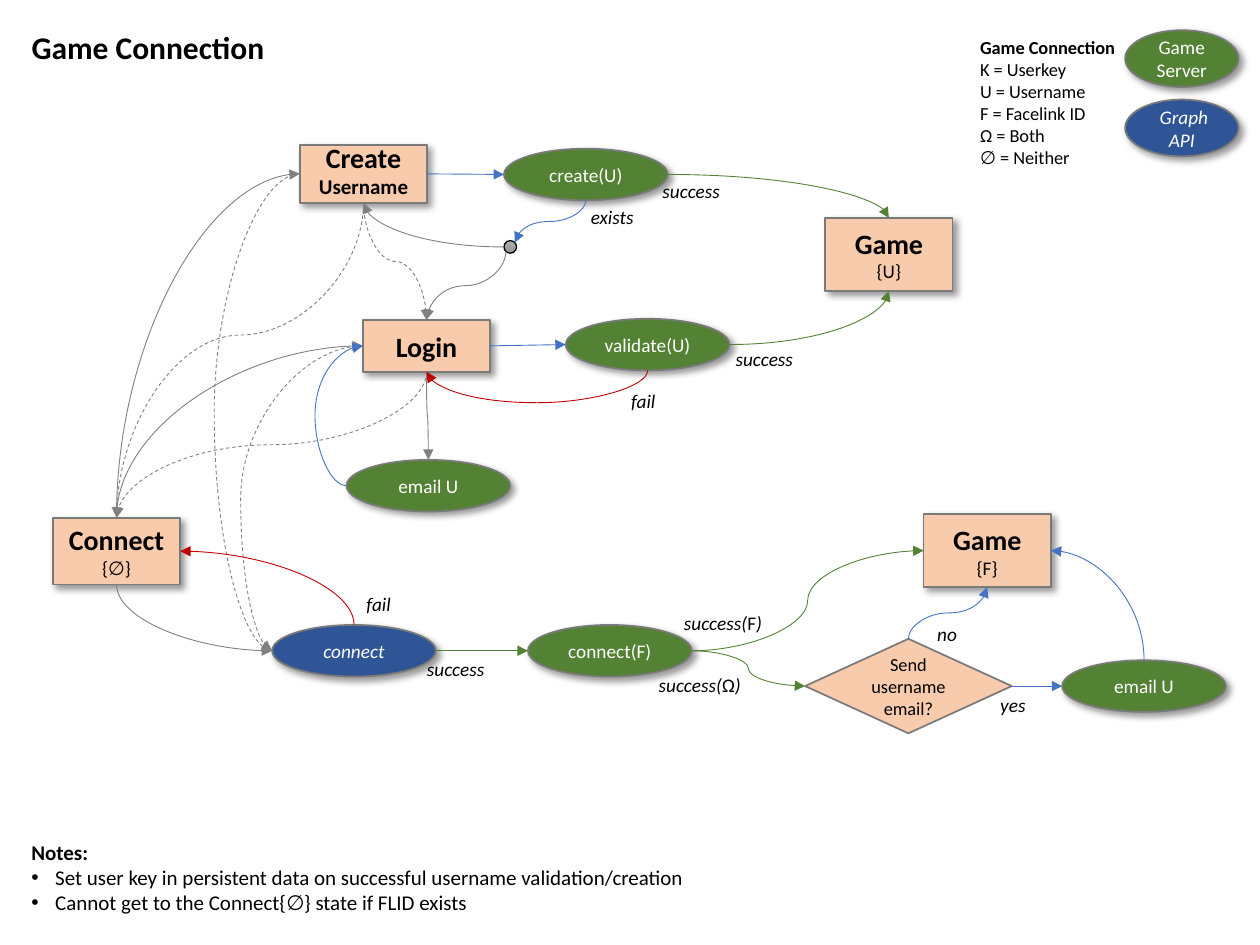
from lxml.etree import SubElement
from pptx import Presentation
from pptx.dml.color import RGBColor
from pptx.enum.dml import MSO_LINE
from pptx.enum.shapes import MSO_CONNECTOR, MSO_SHAPE
from pptx.enum.text import MSO_ANCHOR, MSO_AUTO_SIZE, PP_ALIGN
from pptx.oxml.ns import qn
from pptx.util import Inches, Pt

WIDTH, HEIGHT = Inches(10), Inches(7.5)
COLUMN, ROW = WIDTH / 1000, HEIGHT / 750
FONT = "Calibri"
COLORS = {
    "state": "F8CBAD", "server": "548235", "graph": "2F5597", "outline": "7A7A7A",
    "black": "000000", "white": "FFFFFF", "gray": "808080", "red": "C00000",
    "blue": "4472C4", "dot_light": "AFAFAF", "dot_dark": "939393",
}
ANCHORS = {
    "top": (0.5, 0, 0, 0), "left": (0, 0.5, 1, 2),
    "bottom": (0.5, 1, 2, 4), "right": (1, 0.5, 3, 6),
    "lower left": (0.15, 0.85, None, 3), "upper right": (0.85, 0.15, None, 7),
}
CALL_SIZE = (130, 41)


def color(name):
    return RGBColor.from_string(COLORS[name])


def place(region, left, top, width, height):
    return (round((region[0] + left) * COLUMN), round((region[1] + top) * ROW),
            round(width * COLUMN), round(height * ROW))


def write(frame, lines, tint="black", alignment=PP_ALIGN.LEFT, italic=False, spacing=None):
    for index, (text, size, bold) in enumerate(lines):
        paragraph = frame.paragraphs[0] if index == 0 else frame.add_paragraph()
        paragraph.text = text
        paragraph.alignment = alignment
        paragraph.line_spacing = spacing
        font = paragraph.font
        font.name, font.size, font.bold, font.italic = FONT, Pt(size), bold, italic
        font.color.rgb = color(tint)


def add_text(slide, box, lines, italic=False):
    frame = slide.shapes.add_textbox(*box).text_frame
    frame.word_wrap = False
    write(frame, lines, italic=italic)
    return frame


def add_label(slide, region, left, top, width, text, upright=None):
    frame = add_text(slide, place(region, left, top, width, 29), [(text, 11, False)], True)
    if upright:
        paragraph = frame.paragraphs[0]
        for part in (upright, ")"):
            run = paragraph.add_run()
            run.text = part
            run.font.italic = part != upright


def add_node(slide, kind, box, fill, lines, tint="black", italic=False, spacing=None, shadow=True):
    shape = slide.shapes.add_shape(kind, *box)
    shape.fill.solid()
    shape.fill.fore_color.rgb = color(fill)
    shape.line.color.rgb = color("outline")
    shape.line.width = Pt(1)
    shape.shadow.inherit = False
    if shadow:
        effects = shape.element.spPr.find(qn("a:effectLst"))
        outer = SubElement(effects, qn("a:outerShdw"), blurRad=str(Pt(4)), dist=str(Pt(3)),
                           dir="2700000", algn="tl", rotWithShape="0")
        black = SubElement(outer, qn("a:srgbClr"), val=COLORS["black"])
        SubElement(black, qn("a:alpha"), val="40000")
    frame = shape.text_frame
    frame.word_wrap = True
    frame.vertical_anchor = MSO_ANCHOR.MIDDLE
    if kind == MSO_SHAPE.OVAL:
        frame.margin_left = frame.margin_right = 0
    write(frame, lines, tint, PP_ALIGN.CENTER, italic, spacing)
    return shape


def add_state(slide, box, name, detail=None, detail_size=11, detail_bold=False, spacing=None):
    lines = [(name, 16, True)]
    if detail:
        lines.append((detail, detail_size, detail_bold))
    return add_node(slide, MSO_SHAPE.RECTANGLE, box, "state", lines, spacing=spacing)


def add_call(slide, box, *names, fill="server"):
    lines = [(name, 11, False) for name in names]
    return add_node(slide, MSO_SHAPE.OVAL, box, fill, lines, "white", fill == "graph")


def add_junction(slide, box):
    shape = slide.shapes.add_shape(MSO_SHAPE.OVAL, *box)
    shape.fill.gradient()
    shape.fill.gradient_angle = 270
    for stop, name in zip(shape.fill.gradient_stops, ("dot_light", "dot_dark")):
        stop.color.rgb = color(name)
    shape.line.color.rgb = color("black")
    shape.line.width = Pt(0.75)
    shape.shadow.inherit = False
    return shape


def anchor_point(shape, side):
    across, down = ANCHORS[side][:2]
    return round(shape.left + shape.width * across), round(shape.top + shape.height * down)


def glue(connector, tag, shape, side):
    site = ANCHORS[side][3 if shape.auto_shape_type == MSO_SHAPE.OVAL else 2]
    SubElement(connector.element.nvCxnSpPr.cNvCxnSpPr, qn(tag), id=str(shape.shape_id), idx=str(site))


def add_straight(slide, source, source_side, target, target_side):
    connector = slide.shapes.add_connector(
        MSO_CONNECTOR.STRAIGHT, *anchor_point(source, source_side), *anchor_point(target, target_side))
    if source.auto_shape_type == MSO_SHAPE.OVAL:
        glue(connector, "a:stCxn", source, source_side)
    else:
        connector.begin_connect(source, ANCHORS[source_side][2])
    glue(connector, "a:endCxn", target, target_side)
    return connector


def add_curve(slide, source, source_side, target, target_side, bend=None):
    start, end = anchor_point(source, source_side), anchor_point(target, target_side)
    across, down = end[0] - start[0], end[1] - start[1]
    rightward, downward = across > 0, down > 0
    sideways = [side in ("left", "right") for side in (source_side, target_side)]
    if sideways[0]:
        length, breadth, run, unit = abs(across), abs(down), across, COLUMN
        rotation = 0 if rightward else 180
        flip_x, flip_y = False, rightward != downward
    else:
        length, breadth, run, unit = abs(down), abs(across), down, ROW
        rotation = 90 if rightward != downward else 270
        flip_x, flip_y = rightward, not downward
    left = round((start[0] + end[0] - length) / 2)
    top = round((start[1] + end[1] - breadth) / 2)
    begin_x, end_x = (left + length, left) if flip_x else (left, left + length)
    begin_y, end_y = (top + breadth, top) if flip_y else (top, top + breadth)
    connector = slide.shapes.add_connector(MSO_CONNECTOR.CURVE, begin_x, begin_y, end_x, end_y)
    connector.rotation = rotation
    geometry = connector.element.spPr.find(qn("a:prstGeom"))
    if sideways[0] != sideways[1]:
        geometry.set("prst", "curvedConnector2")
    elif bend is not None:
        SubElement(geometry.find(qn("a:avLst")), qn("a:gd"), name="adj1",
                   fmla=f"val {round(bend * unit / run * 100000)}")
    glue(connector, "a:stCxn", source, source_side)
    glue(connector, "a:endCxn", target, target_side)
    return connector


def style_arrow(connector, tint, dashed=False):
    connector.line.color.rgb = color(tint)
    connector.line.width = Pt(0.5)
    if dashed:
        connector.line.dash_style = MSO_LINE.DASH
    SubElement(connector.line._get_or_add_ln(), qn("a:tailEnd"), type="triangle")
    SubElement(connector.element.spPr, qn("a:effectLst"))


def add_title(slide, region):
    title = slide.shapes.title
    title.left, title.top, title.width, title.height = place(region, 0, 0, 207, 40)
    frame = title.text_frame
    frame.word_wrap = False
    frame.auto_size = MSO_AUTO_SIZE.NONE
    frame.vertical_anchor = MSO_ANCHOR.TOP
    write(frame, [("Game Connection", 18, True)])


def add_legend(slide, region):
    entries = ["K = Userkey", "U = Username", "F = Facelink ID", "Ω = Both", "∅ = Neither"]
    add_text(slide, place(region, 0, 0, 129, 116),
             [("Game Connection", 10.5, True)] + [(entry, 10.5, False) for entry in entries])
    add_call(slide, place(region, 125, 0, 90, 45), "Game", "Server")
    add_call(slide, place(region, 125, 55, 90, 45), " Graph", "API", fill="graph")


def add_notes_list(slide, region):
    notes = ["Set user key in persistent data on successful username validation/creation",
             "Cannot get to the Connect{∅} state if FLID exists"]
    frame = add_text(slide, place(region, 0, 0, 543, 71),
                     [("Notes:", 12, True)] + [(note, 12, False) for note in notes])
    for paragraph in frame.paragraphs[1:]:
        properties = paragraph._p.get_or_add_pPr()
        properties.set("marL", str(Inches(0.19)))
        properties.set("indent", str(-Inches(0.19)))
        SubElement(properties, qn("a:buFont"), typeface="Arial")
        SubElement(properties, qn("a:buChar"), char="•")


def add_username_flow(slide, region):
    nodes = {
        "create": add_state(slide, place(region, 0, 0, 101, 46), "Create", "Username", 12, True, Pt(14)),
        "login": add_state(slide, place(region, 50, 139, 101, 41), "Login"),
        "game U": add_state(slide, place(region, 417, 58, 101, 58), "Game", "{U}"),
        "create call": add_call(slide, place(region, 162, 3, *CALL_SIZE), "create(U)"),
        "validate": add_call(slide, place(region, 211, 138, *CALL_SIZE), "validate(U)"),
        "login email": add_call(slide, place(region, 37, 250, *CALL_SIZE), "email U"),
        "junction": add_junction(slide, place(region, 162, 76, 10, 10)),
    }
    for label in [(278, 22, 66, "success"), (221, 43, 55, "exists"),
                  (336, 156, 66, "success"), (253, 189, 62, "fail")]:
        add_label(slide, region, *label)
    return nodes


def add_connect_flow(slide, region):
    question = [("Send", 10.5, False), ("username email?", 10.5, False)]
    nodes = {
        "connect": add_state(slide, place(region, 0, 3, 101, 53), "Connect", "{∅}"),
        "game F": add_state(slide, place(region, 691, 0, 101, 58), "Game", "{F}"),
        "graph call": add_call(slide, place(region, 174, 88, *CALL_SIZE), "connect", fill="graph"),
        "connect call": add_call(slide, place(region, 377, 88, *CALL_SIZE), "connect(F)"),
        "question": add_node(slide, MSO_SHAPE.DIAMOND, place(region, 597, 99, 164, 75), "state",
                             question, shadow=False),
        "game email": add_call(slide, place(region, 801, 116, *CALL_SIZE), "email U"),
    }
    for label in [(239, 57, 40, "fail"), (287, 109, 66, "success"), (491, 72, 83, "success(", "F"),
                  (471, 121, 86, "success(", "Ω"), (692, 81, 36, "no"), (742, 137, 40, "yes")]:
        add_label(slide, region, *label)
    return nodes


def add_arrows(slide, nodes):
    straight = [
        ("create", "right", "create call", "left", "blue"),
        ("login", "right", "validate", "left", "blue"),
        ("graph call", "right", "connect call", "left", "server"),
        ("question", "right", "game email", "left", "blue"),
    ]
    curved = [
        ("connect", "bottom", "graph call", "left", "gray"),
        ("connect", "top", "create", "left", "gray"),
        ("connect", "top", "login", "left", "gray"),
        ("create", "bottom", "connect", "top", "gray", True, 105),
        ("create", "bottom", "login", "top", "gray", True),
        ("create", "left", "graph call", "left", "gray", True, -68),
        ("login", "bottom", "connect", "top", "gray", True),
        ("login", "left", "graph call", "left", "gray", True, -97),
        ("login", "bottom", "login email", "top", "gray"),
        ("login email", "left", "login", "left", "blue", False, -25),
        ("junction", "lower left", "login", "top", "gray"),
        ("junction", "left", "create", "bottom", "gray"),
        ("create call", "bottom", "junction", "upper right", "blue"),
        ("create call", "right", "game U", "top", "server"),
        ("validate", "right", "game U", "bottom", "server"),
        ("validate", "bottom", "login", "bottom", "red", False, 26),
        ("graph call", "top", "connect", "right", "red"),
        ("connect call", "right", "game F", "left", "server"),
        ("connect call", "right", "question", "left", "server"),
        ("question", "top", "game F", "bottom", "blue"),
        ("game email", "top", "game F", "right", "blue"),
    ]
    for source, source_side, target, target_side, tint in straight:
        style_arrow(add_straight(slide, nodes[source], source_side, nodes[target], target_side), tint)
    for source, source_side, target, target_side, tint, *options in curved:
        dashed, bend = (options + [False, None][len(options):])
        style_arrow(add_curve(slide, nodes[source], source_side, nodes[target], target_side, bend),
                    tint, dashed)


def main():
    presentation = Presentation()
    presentation.slide_width, presentation.slide_height = WIDTH, HEIGHT
    slide = presentation.slides.add_slide(presentation.slide_layouts[5])
    add_title(slide, (15, 17))
    nodes = add_username_flow(slide, (238, 115)) | add_connect_flow(slide, (42, 408))
    add_arrows(slide, nodes)
    add_legend(slide, (768, 24))
    add_notes_list(slide, (15, 661))
    presentation.save("out.pptx")


if __name__ == "__main__":
    main()
